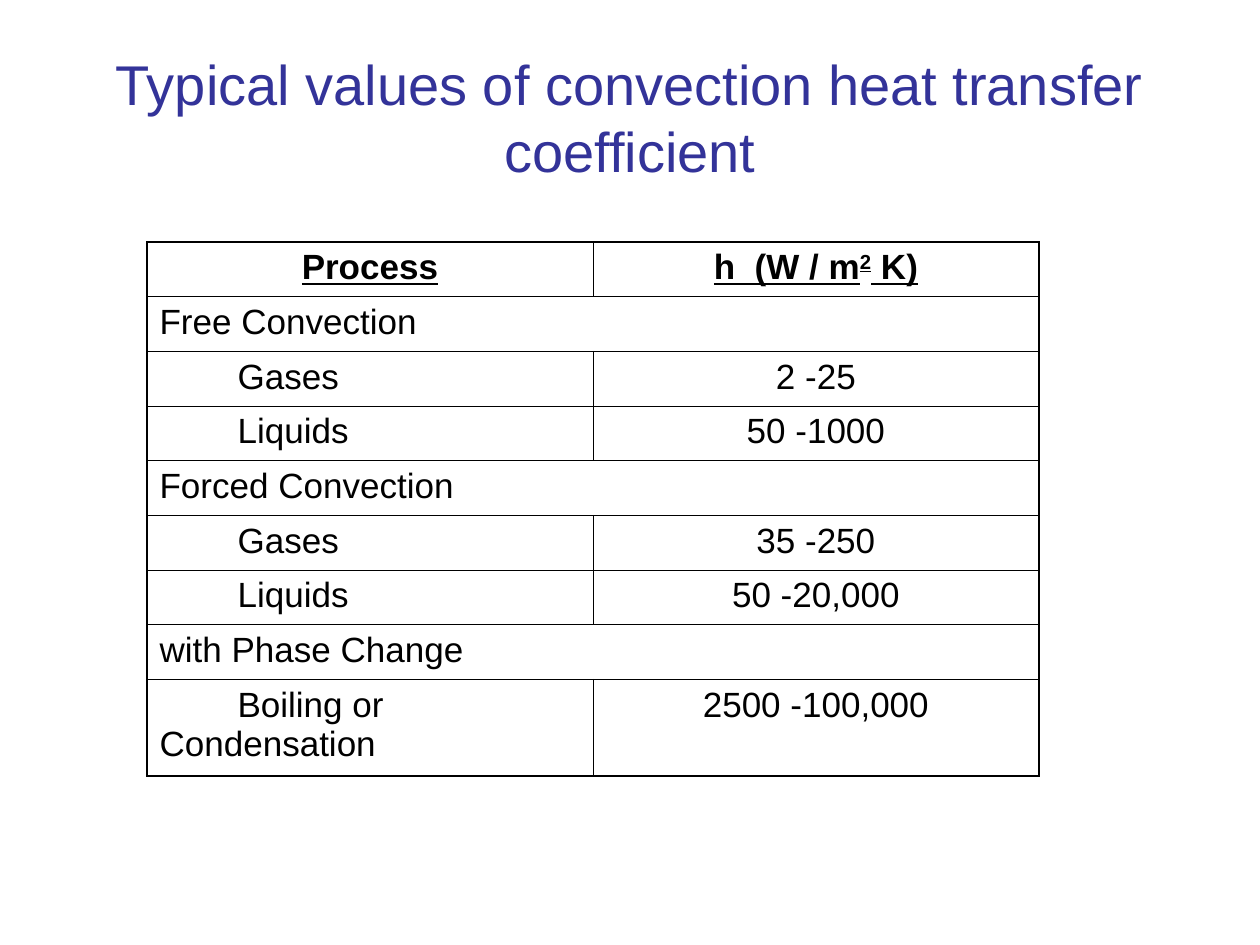
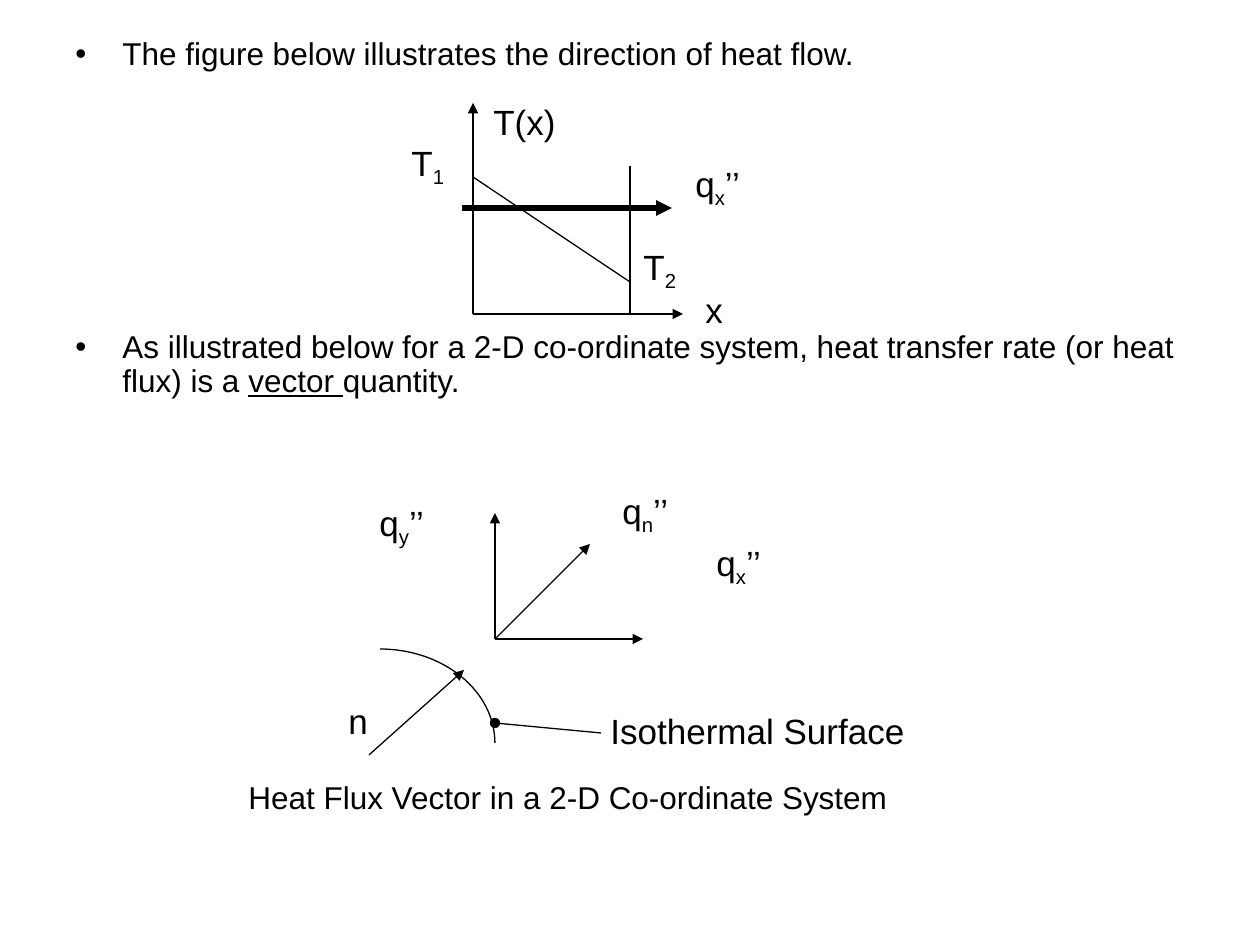
from dataclasses import dataclass
from math import cos, pi, sin

from lxml.etree import SubElement
from pptx import Presentation
from pptx.dml.color import RGBColor
from pptx.enum.shapes import MSO_CONNECTOR
from pptx.enum.text import MSO_ANCHOR, MSO_AUTO_SIZE, PP_ALIGN
from pptx.oxml.ns import qn
from pptx.util import Emu, Pt

EMU_PER_PX = 914400 / 126


@dataclass(frozen=True)
class Theme:
    """Colours, type sizes and line widths in points."""
    font: str = "Arial"
    ink: str = "000000"
    title_ink: str = "333399"
    title: int = 32
    label: int = 20
    body: int = 18
    thin: float = 0.75
    thick: float = 3
    inner_border: float = 0.45
    outer_border: float = 1.08


@dataclass(frozen=True)
class Box:
    """A region in px."""
    left: int
    top: int
    width: int
    height: int

    def place(self, x, y):
        """Turn a point inside the region into slide EMU."""
        return px(self.left + x), px(self.top + y)

    def frame(self):
        """Give left, top, width and height in EMU."""
        return [px(n) for n in (self.left, self.top, self.width, self.height)]


THEME = Theme()
PAGE = Box(0, 0, 1260, 945)
TITLE = Box(63, 38, 1134, 157)
COEFFICIENTS = Box(147, 242, 892, 533)
STATEMENTS = Box(63, 32, 1134, 813)
SLAB = Box(399, 94, 354, 243)
FLUX_VECTORS = Box(336, 483, 586, 275)
LAST_ROW = 97
SUB_INDENT = 78
HANG = 47
CAPTION_INDENT = 173

PROCESSES = [
    ("Free Convection", None),
    ("Gases", "2 -25"),
    ("Liquids", "50 -1000"),
    ("Forced Convection", None),
    ("Gases", "35 -250"),
    ("Liquids", "50 -20,000"),
    ("with Phase Change", None),
    ("Boiling or Condensation", "2500 -100,000"),
]


def px(length):
    """Turn px into EMU."""
    return Emu(round(length * EMU_PER_PX))


def style(paragraph, size, color=THEME.ink, **flags):
    """Format every run of a paragraph."""
    for run in paragraph.runs:
        run.font.name, run.font.size = THEME.font, Pt(size)
        run.font.color.rgb = RGBColor.from_string(color)
        for flag, value in flags.items():
            setattr(run.font, flag, value)


def add_runs(paragraph, texts):
    """Add one run for each text."""
    for text in texts:
        paragraph.add_run().text = text


def shift_baseline(run, percent):
    """Raise or lower a run."""
    run._r.get_or_add_rPr().set("baseline", str(percent * 1000))


def indent(paragraph, margin, first_line):
    """Set the left margin and first-line indent in px."""
    properties = paragraph._p.get_or_add_pPr()
    properties.set("marL", str(px(margin)))
    properties.set("indent", str(px(first_line)))
    return properties


def add_title(slide, box, text):
    """Write the centred slide title."""
    frame = slide.shapes.add_textbox(*box.frame()).text_frame
    frame.word_wrap = True
    frame.vertical_anchor = MSO_ANCHOR.MIDDLE
    frame.text = text
    heading = frame.paragraphs[0]
    heading.alignment = PP_ALIGN.CENTER
    style(heading, THEME.title, THEME.title_ink)


def set_borders(cell, widths):
    """Draw the given sides of a cell and clear its fill."""
    properties = cell._tc.get_or_add_tcPr()
    for side, width in widths.items():
        line = SubElement(properties, qn(f"a:ln{side}"), w=str(Pt(width)))
        fill = SubElement(line, qn("a:solidFill"))
        SubElement(fill, qn("a:srgbClr"), val=THEME.ink)
    cell.fill.background()


def add_coefficients(slide, box):
    """Build the table of convection coefficients."""
    count = len(PROCESSES) + 1
    table = slide.shapes.add_table(count, 2, *box.frame()).table
    table.first_row = table.horz_banding = False
    for column in table.columns:
        column.width = px(box.width / 2)
    for row in table.rows:
        row.height = px((box.height - LAST_ROW) / (count - 1))
    table.rows[count - 1].height = px(LAST_ROW)

    process_head, h_head = (table.cell(0, c).text_frame.paragraphs[0] for c in (0, 1))
    add_runs(process_head, ["Process"])
    add_runs(h_head, ["h  (W / m", "2", " K)"])
    shift_baseline(h_head.runs[1], 30)
    for heading in (process_head, h_head):
        heading.alignment = PP_ALIGN.CENTER
        style(heading, THEME.label, bold=True, underline=True)

    for r, (process, value) in enumerate(PROCESSES, 1):
        name_cell, value_cell = table.cell(r, 0), table.cell(r, 1)
        name_cell.text = process
        name = name_cell.text_frame.paragraphs[0]
        style(name, THEME.label)
        if value is None:
            name_cell.merge(value_cell)
            continue
        indent(name, 0, SUB_INDENT)
        value_cell.text = value
        amount = value_cell.text_frame.paragraphs[0]
        amount.alignment = PP_ALIGN.CENTER
        style(amount, THEME.label)

    inner, outer = THEME.inner_border, THEME.outer_border
    for r in range(count):
        for c in (0, 1):
            cell = table.cell(r, c)
            cell.text_frame.paragraphs[0].space_before = Pt(5)
            widths = {
                "L": inner if c else outer,
                "R": outer if c or cell.is_merge_origin else inner,
                "T": inner if r else outer,
                "B": inner if r < count - 1 else outer,
            }
            if cell.is_spanned:
                del widths["L"]
            set_borders(cell, widths)


def add_statements(slide, box):
    """Write the two bullets and the caption, spaced around the figures."""
    frame = slide.shapes.add_textbox(*box.frame()).text_frame
    frame.word_wrap = True
    statements = [
        (["The figure below illustrates the direction of heat flow."], 4.5, True),
        (["As illustrated below for a 2-D co-ordinate system, heat transfer rate "
          "(or heat flux) is a ", "vector ", "quantity."], 148, True),
        (["Heat Flux Vector in a 2-D Co-ordinate System"], 219, False),
    ]
    for i, (texts, gap, bulleted) in enumerate(statements):
        paragraph = frame.add_paragraph() if i else frame.paragraphs[0]
        add_runs(paragraph, texts)
        style(paragraph, THEME.body)
        paragraph.line_spacing = 0.9
        paragraph.space_before = Pt(gap)
        if bulleted:
            properties = indent(paragraph, HANG, -HANG)
            SubElement(properties, qn("a:buFont"), typeface=THEME.font)
            SubElement(properties, qn("a:buChar"), char="•")
        else:
            indent(paragraph, CAPTION_INDENT, 0)
    frame.paragraphs[1].runs[1].font.underline = True


def add_line(group, box, start, end, width=THEME.thin, tip=None):
    """Draw a line between two points of the region, with an optional tip."""
    line = group.shapes.add_connector(
        MSO_CONNECTOR.STRAIGHT, *box.place(*start), *box.place(*end))
    line.line.width = Pt(width)
    line.line.color.rgb = RGBColor.from_string(THEME.ink)
    if tip:
        SubElement(line.line._get_or_add_ln(), qn("a:tailEnd"), type=tip)
    SubElement(line._element.spPr, qn("a:effectLst"))


def add_label(group, box, at, width, base, subscript="", primes=""):
    """Write a symbol with an optional subscript and primes."""
    height = 60 if subscript else 55
    frame = group.shapes.add_textbox(*box.place(*at), px(width), px(height)).text_frame
    frame.word_wrap = False
    frame.auto_size = MSO_AUTO_SIZE.SHAPE_TO_FIT_TEXT
    symbol = frame.paragraphs[0]
    add_runs(symbol, [text for text in (base, subscript, primes) if text])
    style(symbol, THEME.label)
    if subscript:
        shift_baseline(symbol.runs[1], -25)


def add_slab(slide, box):
    """Draw the temperature profile and the heat flow through a slab."""
    group = slide.shapes.add_group_shape()
    origin, wall_foot = (74, 220), (231, 220)
    add_line(group, box, origin, (74, 9), tip="triangle")
    add_line(group, box, origin, (284, 220), tip="triangle")
    add_line(group, box, wall_foot, (231, 72))
    add_line(group, box, (74, 83), (231, 188))
    add_line(group, box, (63, 114), (273, 114), THEME.thick, "triangle")
    add_label(group, box, (294, 188), 44, "x")
    add_label(group, box, (232, 145), 60, "T", "2")
    add_label(group, box, (0, 41), 60, "T", "1")
    add_label(group, box, (284, 62), 73, "q", "x", "’’")
    add_label(group, box, (82, 0), 91, "T(x)")


def add_isotherm(group, box, center, radii, steps=32):
    """Draw a quarter ellipse from its top to its right end."""
    angles = [pi / 2 * (1 - i / steps) for i in range(steps + 1)]
    points = [box.place(center[0] + radii[0] * cos(a), center[1] - radii[1] * sin(a))
              for a in angles]
    builder = group.shapes.build_freeform(*points[0])
    builder.add_line_segments(points[1:], close=False)
    isotherm = builder.convert_to_shape()
    isotherm.shadow.inherit = False
    isotherm.fill.background()
    isotherm.line.width = Pt(THEME.thin)
    isotherm.line.color.rgb = RGBColor.from_string(THEME.ink)


def add_flux_vectors(slide, box):
    """Draw the flux components above an isothermal surface."""
    group = slide.shapes.add_group_shape()
    origin = (159, 156)
    for tip in ((159, 30), (307, 156), (254, 61)):
        add_line(group, box, origin, tip, tip="triangle")
    add_isotherm(group, box, (44, 260), (115, 94))
    add_line(group, box, (33, 272), (128, 187), tip="triangle")
    add_line(group, box, (265, 250), (159, 240), tip="oval")
    add_label(group, box, (31, 12), 73, "q", "y", "’’")
    add_label(group, box, (274, 0), 73, "q", "n", "’’")
    add_label(group, box, (368, 52), 73, "q", "x", "’’")
    add_label(group, box, (0, 210), 46, "n")
    add_label(group, box, (262, 220), 324, "Isothermal Surface")


def main():
    """Build both slides and save them."""
    deck = Presentation()
    deck.slide_width, deck.slide_height = px(PAGE.width), px(PAGE.height)
    blank = deck.slide_layouts[6]

    values = deck.slides.add_slide(blank)
    add_title(values, TITLE, "Typical values of convection heat transfer coefficient")
    add_coefficients(values, COEFFICIENTS)

    directions = deck.slides.add_slide(blank)
    add_statements(directions, STATEMENTS)
    add_slab(directions, SLAB)
    add_flux_vectors(directions, FLUX_VECTORS)

    deck.save("out.pptx")


if __name__ == "__main__":
    main()
